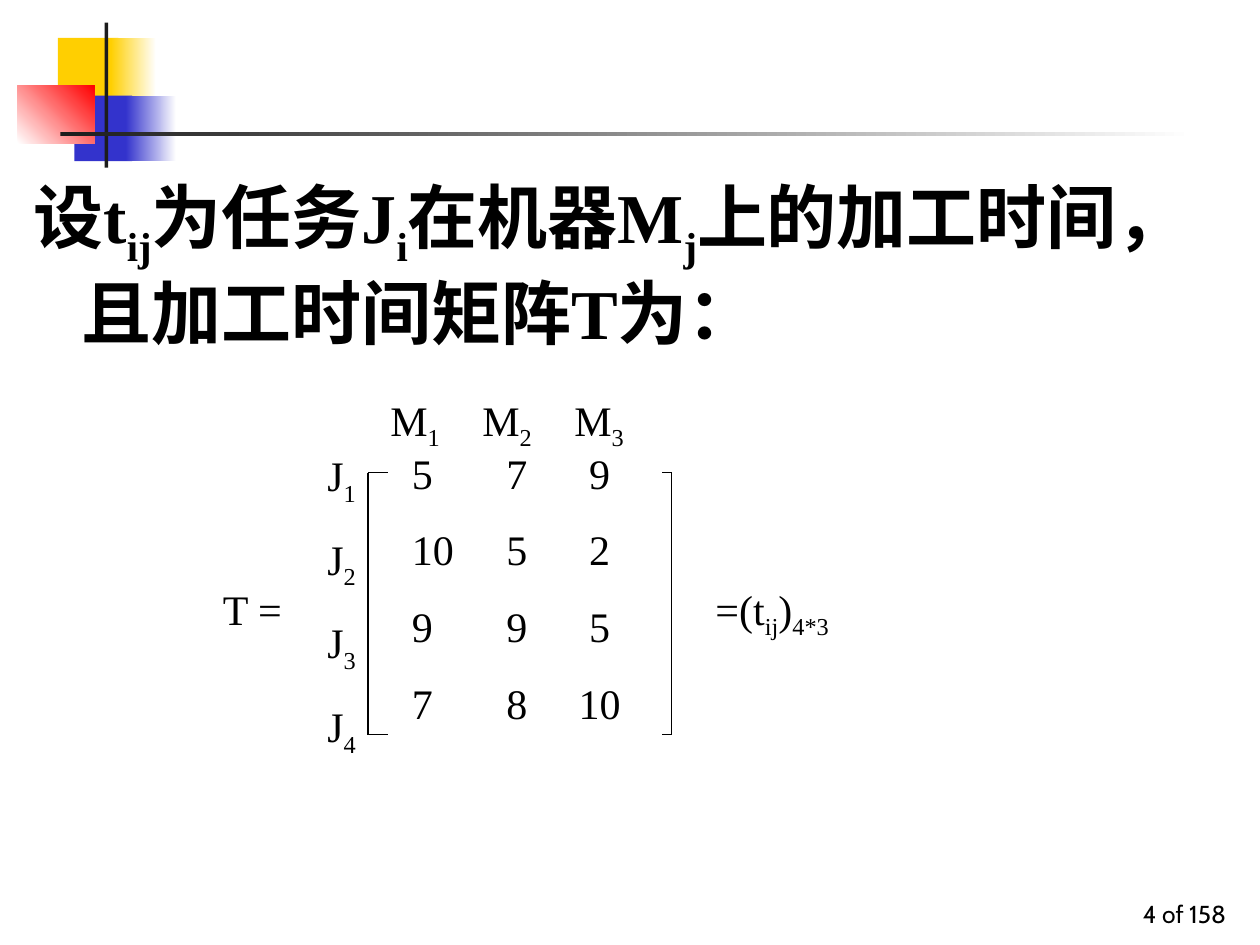
import pptx
import pptx.dml.color
import pptx.enum.shapes
import pptx.enum.text
import pptx.oxml.ns
import pptx.util
from lxml import etree
from pptx.util import Inches

ALIGN = pptx.enum.text.PP_ALIGN
ANCHOR = pptx.enum.text.MSO_ANCHOR
FIT = pptx.enum.text.MSO_AUTO_SIZE
BODY = {"name": "Times New Roman", "size": pptx.util.Pt(24)}
HEADING = {"name": "Times New Roman", "size": pptx.util.Pt(40), "bold": True}
FOOTER = {"name": "Cabin", "size": pptx.util.Pt(14)}


def colour(value):
    return pptx.dml.color.RGBColor.from_string(value)


def add_tabs(para, tabs):
    """Set tab stops from (inches, alignment) pairs."""
    properties = para._p.get_or_add_pPr()
    stops = etree.SubElement(properties, pptx.oxml.ns.qn("a:tabLst"))
    for position, alignment in tabs:
        etree.SubElement(stops, pptx.oxml.ns.qn("a:tab"),
                         pos=str(Inches(position)), algn=alignment)


def add_text(page, box, lines, font, before=15, hanging=0, tabs=(),
             align=ALIGN.LEFT, anchor=ANCHOR.TOP, fit=FIT.SHAPE_TO_FIT_TEXT):
    """Write lines in which every second piece between bars is a subscript."""
    frame = page.shapes.add_textbox(*map(Inches, box)).text_frame
    frame.word_wrap = True
    frame.vertical_anchor = anchor
    frame.auto_size = fit
    for number, line in enumerate(lines):
        para = frame.add_paragraph() if number else frame.paragraphs[0]
        para.alignment = align
        para.space_before = pptx.util.Pt(before)
        if hanging:
            properties = para._p.get_or_add_pPr()
            properties.set("marL", str(Inches(hanging)))
            properties.set("indent", str(-Inches(hanging)))
        if tabs:
            add_tabs(para, tabs)
        for index, piece in enumerate(line.split("|")):
            if not piece:
                continue
            span = para.add_run()
            span.text = piece
            for name, value in font.items():
                setattr(span.font, name, value)
            span.font.color.rgb = colour("000000")
            if index % 2:
                span._r.get_or_add_rPr().set("baseline", "-25000")


def add_block(page, box, start, end=None, angle=0):
    block = page.shapes.add_shape(
        pptx.enum.shapes.MSO_SHAPE.RECTANGLE, *map(Inches, box))
    block.shadow.inherit = False
    block.line.fill.background()
    if end is None:
        block.fill.solid()
        block.fill.fore_color.rgb = colour(start)
        return
    block.fill.gradient()
    block.fill.gradient_angle = angle
    for stop, value in zip(block.fill.gradient_stops, (start, end)):
        stop.color.rgb = colour(value)


def add_line(page, start, end):
    line = page.shapes.add_connector(
        pptx.enum.shapes.MSO_CONNECTOR.STRAIGHT, *map(Inches, start + end))
    line.line.color.rgb = colour("000000")
    line.line.width = pptx.util.Pt(0.75)
    etree.SubElement(line._element.spPr, pptx.oxml.ns.qn("a:effectLst"))


def add_bracket(page, x, top, bottom, tip):
    """Draw a square bracket whose ends reach sideways by tip."""
    add_line(page, (x, top), (x, bottom))
    for y in (top, bottom):
        add_line(page, (x, y), (x + tip, y))


def add_decoration(page, left, top):
    blocks = [
        ((0.32, 0.12, 0.48, 0.52), "FFCF01"),
        ((0.74, 0.12, 0.36, 0.52), "FFCF01", "FFFFFF"),
        ((0.45, 0.58, 0.46, 0.52), "3333CC"),
        ((0.86, 0.58, 0.4, 0.52), "3333CC", "FFFFFF"),
        ((0, 0.5, 0.61, 0.46), "FFFFFF", "FF0000", 45),
        ((0.69, 0, 0.03, 1.15), "1C1C1C"),
        ((0.34, 0.87, 9, 0.03), "1C1C1C", "FFFFFF"),
    ]
    for (x, y, width, height), *fill in blocks:
        add_block(page, (left + x, top + y, width, height), *fill)


def add_matrix(page, left, top):
    """Place the labelled time matrix and its equation."""
    middle = top + 1.5
    add_text(page, (left, middle, 1, 0.5), ["T ="], BODY)
    add_text(page, (left + 0.83, top + 0.44, 0.75, 2.55),
             [f"J|{row}" for row in range(1, 5)], BODY)
    add_text(page, (left + 1.5, top + 0.42, 3.17, 2.33),
             ["5\t7\t9", "10\t5\t2", "9\t9\t5", "7\t8\t10"], BODY,
             tabs=[(0.75, "l"), (1.49, "ctr")])
    for x, tip in ((1.25, 0.16), (3.66, -0.08)):
        add_bracket(page, left + x, top + 0.67, top + 2.75, tip)
    add_text(page, (left + 1.33, top, 3.67, 0.56), ["M|1|\tM|2|\tM|3"], BODY,
             tabs=[(0.73, "l"), (1.46, "l")])
    add_text(page, (left + 3.91, middle, 2.42, 0.56), ["=(t|ij|)|4*3"], BODY)


def build_page(deck):
    page = deck.slides.add_slide(deck.slide_layouts[6])
    add_decoration(page, 0.14, 0.18)
    add_text(page, (7.75, 6.92, 2.08, 0.5), ["4 of 158"], FOOTER, before=0,
             align=ALIGN.RIGHT, anchor=ANCHOR.BOTTOM, fit=FIT.NONE)
    add_text(page, (0.17, 1.33, 9.63, 5.58),
             ["设t|ij|为任务J|i|在机器M|j|上的加工时间，且加工时间矩阵T为："],
             HEADING, before=10, hanging=0.38, fit=FIT.NONE)
    add_matrix(page, 1.67, 3.08)


def main():
    deck = pptx.Presentation()
    deck.slide_width = Inches(10)
    deck.slide_height = Inches(7.5)
    build_page(deck)
    deck.save("out.pptx")


if __name__ == "__main__":
    main()
